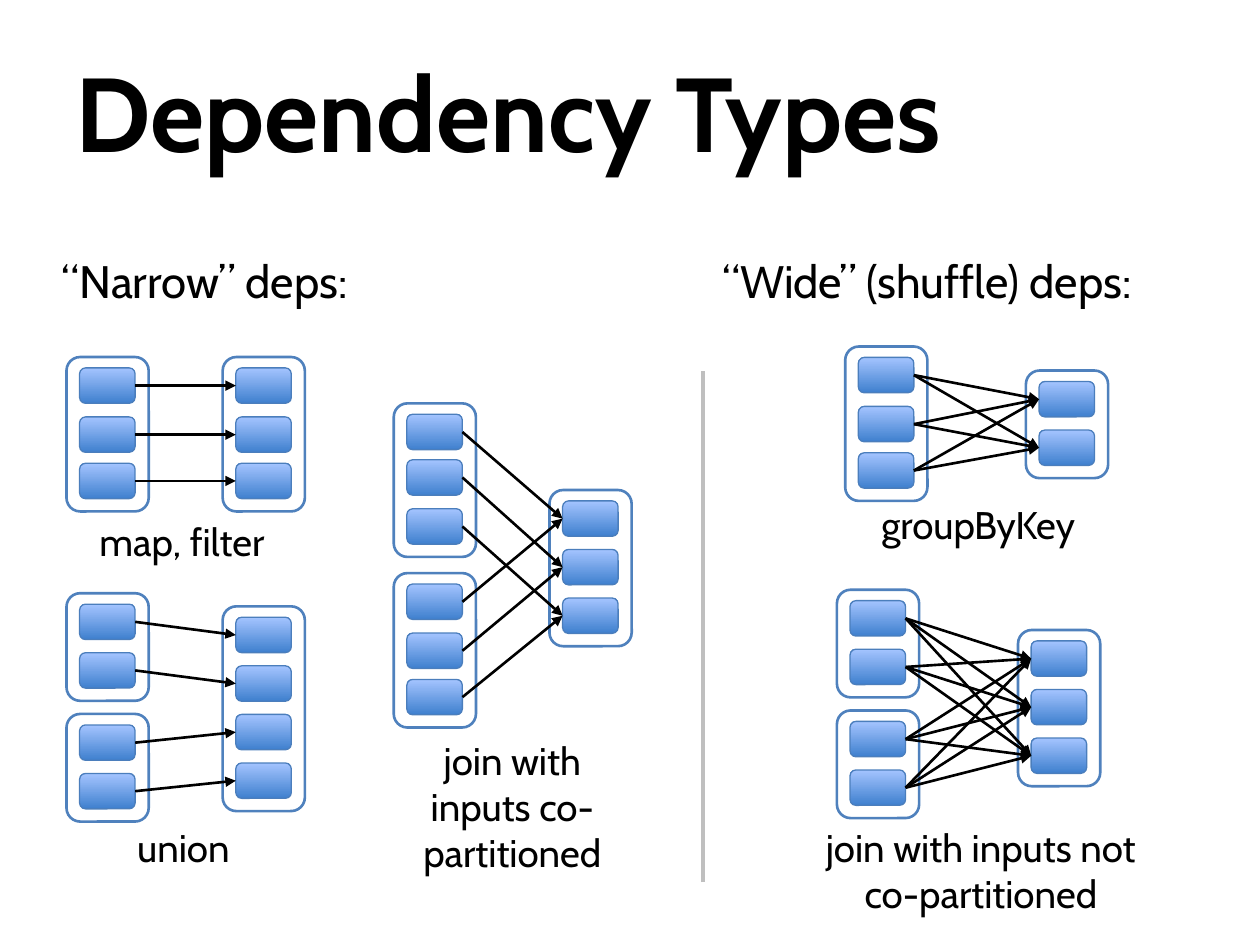
from itertools import product

from lxml import etree
from pptx import Presentation
from pptx import util as u
from pptx.dml.color import RGBColor
from pptx.enum import shapes, text
from pptx.oxml.ns import qn

BLACK = RGBColor(0x00, 0x00, 0x00)
WHITE = RGBColor(0xFF, 0xFF, 0xFF)
GREY = RGBColor(0xBF, 0xBF, 0xBF)
FRAME_BLUE = RGBColor(0x4F, 0x81, 0xBD)
EDGE_BLUE = RGBColor(0x4B, 0x7E, 0xBC)
DEEP_BLUE = RGBColor(0x3F, 0x80, 0xCE)
PALE_BLUE = RGBColor(0xA4, 0xC4, 0xFF)

PITCH = 27.75
EVEN = (PITCH, PITCH)
SHORT_LAST = (28, 26.5)
SHORT_FIRST = (26, 28)
LEFT_SIDE, RIGHT_SIDE = 1, 3


class Diagram:
    font = "Cabin"
    frame_width = 47
    block_width, block_height = 31.75, 20.25
    inset_x, inset_y = 7.5, 6.25

    def __init__(self, page):
        self.page = page

    def text(self, content, left, top, width, height, size=22, bold=False,
             align=text.PP_ALIGN.CENTER, anchor=text.MSO_ANCHOR.TOP, wrap=True):
        box = self.page.shapes.add_textbox(
            u.Pt(left), u.Pt(top), u.Pt(width), u.Pt(height))
        frame = box.text_frame
        frame.word_wrap = wrap
        frame.vertical_anchor = anchor
        para = frame.paragraphs[0]
        para.alignment = align
        for index, words in enumerate(content.split("\n")):
            if index:
                para.add_line_break()
            span = para.add_run()
            span.text = words
            span.font.name = self.font
            span.font.size = u.Pt(size)
            span.font.bold = bold
            span.font.color.rgb = BLACK

    def rounded(self, left, top, width, height, edge, weight):
        shape = self.page.shapes.add_shape(
            shapes.MSO_SHAPE.ROUNDED_RECTANGLE,
            u.Pt(left), u.Pt(top), u.Pt(width), u.Pt(height))
        shape.shadow.inherit = False
        shape.line.color.rgb = edge
        shape.line.width = u.Pt(weight)
        return shape

    def block(self, left, top):
        shape = self.rounded(left, top, self.block_width, self.block_height,
                             EDGE_BLUE, 0.75)
        shape.fill.gradient()
        shape.fill.gradient_angle = 90
        for stop, colour in zip(shape.fill.gradient_stops, (DEEP_BLUE, PALE_BLUE)):
            stop.color.rgb = colour
        return shape

    def dataset(self, left, top, gaps):
        """Draw a frame around a column of blocks; gaps are the steps between them."""
        height = 2 * self.inset_y + self.block_height + sum(gaps) + 1
        frame = self.rounded(left, top, self.frame_width, height, FRAME_BLUE, 1.5)
        frame.fill.solid()
        frame.fill.fore_color.rgb = WHITE
        x, y = left + self.inset_x, top + self.inset_y
        return [self.block(x, y + sum(gaps[:n])) for n in range(len(gaps) + 1)]

    def line(self, x1, y1, x2, y2, colour, weight):
        line = self.page.shapes.add_connector(
            shapes.MSO_CONNECTOR.STRAIGHT, u.Pt(x1), u.Pt(y1), u.Pt(x2), u.Pt(y2))
        line.line.color.rgb = colour
        line.line.width = u.Pt(weight)
        etree.SubElement(line._element.spPr, qn("a:effectLst"))
        return line

    def arrows(self, pairs):
        for source, target in pairs:
            arrow = self.line(0, 0, 0, 0, BLACK, 1.5)
            arrow.begin_connect(source, RIGHT_SIDE)
            arrow.end_connect(target, LEFT_SIDE)
            outline = arrow._element.spPr.find(qn("a:ln"))
            etree.SubElement(outline, qn("a:tailEnd"), type="triangle")


def main():
    deck = Presentation()
    deck.slide_width, deck.slide_height = u.Pt(720), u.Pt(540)
    diagram = Diagram(deck.slides.add_slide(deck.slide_layouts[6]))

    start = text.PP_ALIGN.LEFT
    diagram.text("Dependency Types", 36, 18, 648, 90, size=60, bold=True,
                 align=start, anchor=text.MSO_ANCHOR.MIDDLE)
    diagram.text("“Narrow” deps:", 28, 141, 181, 39, size=26, align=start, wrap=False)
    diagram.text("“Wide” (shuffle) deps:", 405.5, 141, 255.5, 39, size=26,
                 align=start, wrap=False)
    diagram.line(401.75, 504, 401.75, 211.75, GREY, 2.25)

    # Narrow: each input block feeds one output block
    source = diagram.dataset(38, 204, SHORT_LAST)
    target = diagram.dataset(127.25, 204, SHORT_LAST)
    diagram.arrows(zip(source, target))
    diagram.text("map, filter", 36, 292.5, 136, 34)

    source = [block for top in (339, 408)
              for block in diagram.dataset(38, top, EVEN[:1])]
    target = diagram.dataset(127.25, 346.5, EVEN + EVEN[:1])
    diagram.arrows(zip(source, target))
    diagram.text("union", 36, 467.5, 137.5, 34)

    source = [block for top, gaps in ((230.5, SHORT_FIRST), (327.5, SHORT_LAST))
              for block in diagram.dataset(225, top, gaps)]
    target = diagram.dataset(314, 280, EVEN)
    diagram.arrows(zip(source, target * 2))
    diagram.text("join with inputs co-partitioned", 224.75, 417.5, 136, 87)

    # Wide: every input block feeds every output block
    source = diagram.dataset(483, 198, SHORT_LAST)
    target = diagram.dataset(586.25, 211.75, EVEN[:1])
    diagram.arrows(product(source, target))
    diagram.text("groupByKey", 480, 283, 158, 34)

    source = [block for top in (337, 406)
              for block in diagram.dataset(478.25, top, EVEN[:1])]
    target = diagram.dataset(581.75, 360, EVEN)
    diagram.arrows(product(source, target))
    diagram.text("join with inputs not\nco-partitioned", 448.5, 467.5, 224, 60.5)

    deck.save("out.pptx")


if __name__ == "__main__":
    main()
